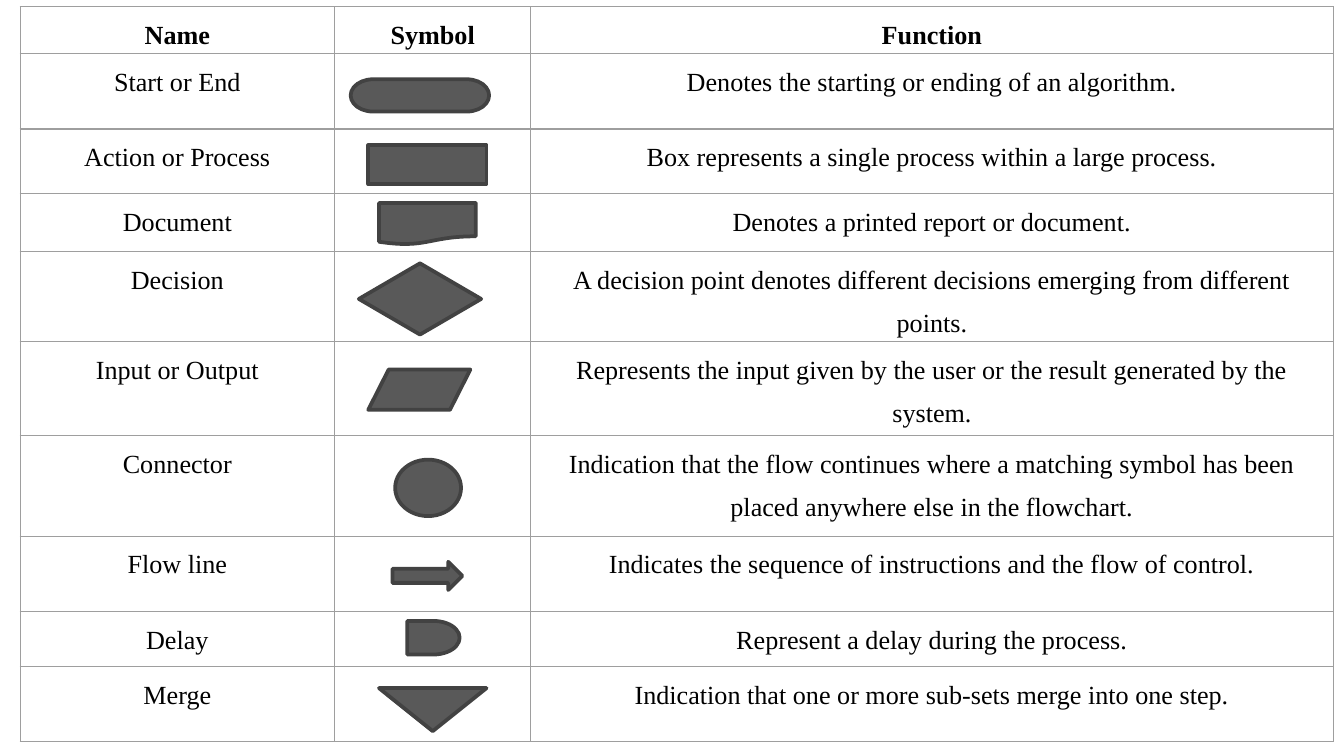
"""Build a slide that lists flowchart symbols with their functions."""
import pptx
import pptx.dml.color
import pptx.enum.shapes
import pptx.enum.text
import pptx.oxml
import pptx.oxml.ns
import pptx.util

Inches = pptx.util.Inches
Pt = pptx.util.Pt
RGBColor = pptx.dml.color.RGBColor
KIND = pptx.enum.shapes.MSO_SHAPE

BLACK = RGBColor(0x00, 0x00, 0x00)
WHITE = RGBColor(0xFF, 0xFF, 0xFF)
GRAY = RGBColor(0x59, 0x59, 0x59)
DARK = RGBColor(0x42, 0x42, 0x42)
RULE = RGBColor(0x9E, 0x9E, 0x9E)

COLS = [2.34, 1.46, 5.97]
HEAD = ("Name", "Symbol", "Function")
HEAD_H = 0.35
ROWS = [
    (0.56, "Start or End", "Denotes the starting or ending of an algorithm.",
     KIND.FLOWCHART_TERMINATOR, (2.61, 0.59, 1.03, 0.24)),
    (0.48, "Action or Process", "Box represents a single process within a large process.",
     KIND.RECTANGLE, (2.74, 1.08, 0.88, 0.29)),
    (0.43, "Document", "Denotes a printed report or document.",
     KIND.FLOWCHART_DOCUMENT, (2.82, 1.51, 0.72, 0.31)),
    (0.67, "Decision",
     "A decision point denotes different decisions emerging from different points.",
     KIND.FLOWCHART_DECISION, (2.67, 1.96, 0.91, 0.53)),
    (0.7, "Input or Output",
     "Represents the input given by the user or the result generated by the system.",
     KIND.FLOWCHART_DATA, (2.74, 2.75, 0.76, 0.3)),
    (0.75, "Connector",
     "Indication that the flow continues where a matching symbol has been "
     "placed anywhere else in the flowchart.",
     KIND.FLOWCHART_CONNECTOR, (2.94, 3.42, 0.49, 0.42)),
    (0.56, "Flow line", "Indicates the sequence of instructions and the flow of control.",
     KIND.RIGHT_ARROW, (2.92, 4.18, 0.52, 0.21)),
    (0.41, "Delay", "Represent a delay during the process.",
     KIND.FLOWCHART_DELAY, (3.03, 4.62, 0.39, 0.25)),
    (0.56, "Merge", "Indication that one or more sub-sets merge into one step.",
     KIND.FLOWCHART_MERGE, (2.82, 5.12, 0.8, 0.32)),
]


def add_rules(cell):
    """Draw a thin line on all four sides of a cell."""
    props = cell._tc.get_or_add_tcPr()
    for side in ("lnL", "lnR", "lnT", "lnB"):
        props.append(pptx.oxml.parse_xml(
            f'<a:{side} {pptx.oxml.ns.nsdecls("a")} w="{Pt(0.75)}">'
            f'<a:solidFill><a:srgbClr val="{RULE}"/></a:solidFill></a:{side}>'))


def fill_cell(cell, text, bold):
    """Set the text and look of one cell."""
    add_rules(cell)
    cell.fill.solid()
    cell.fill.fore_color.rgb = WHITE
    cell.margin_left = cell.margin_right = Inches(0.03)
    cell.margin_top = cell.margin_bottom = 0
    cell.text = text
    para = cell.text_frame.paragraphs[0]
    para.alignment = pptx.enum.text.PP_ALIGN.CENTER
    para.line_spacing = 1.5
    para.font.name = "Times New Roman"
    para.font.size = Pt(14)
    para.font.bold = bold
    para.font.color.rgb = BLACK


def add_grid(slide):
    """Add the table of names and functions."""
    tall = [HEAD_H] + [row[0] for row in ROWS]
    texts = [HEAD] + [(name, "", use) for _, name, use, _, _ in ROWS]
    grid = slide.shapes.add_table(
        len(tall), len(COLS), Inches(0.15), Inches(0.05),
        Inches(sum(COLS)), Inches(sum(tall))).table
    grid.first_row = grid.horz_banding = False
    for col, width in zip(grid.columns, COLS):
        col.width = Inches(width)
    for num, (row, high, line) in enumerate(zip(grid.rows, tall, texts)):
        row.height = Inches(high)
        for cell, text in zip(row.cells, line):
            fill_cell(cell, text, num == 0)


def add_symbol(slide, kind, box):
    """Add one flowchart symbol."""
    shape = slide.shapes.add_shape(kind, *map(Inches, box))
    shape.shadow.inherit = False
    shape.fill.solid()
    shape.fill.fore_color.rgb = GRAY
    shape.line.color.rgb = DARK
    shape.line.width = Pt(2)


def main():
    """Build and save the slide."""
    deck = pptx.Presentation()
    deck.slide_width = Inches(10)
    deck.slide_height = Inches(10) * 9 // 16
    slide = deck.slides.add_slide(deck.slide_layouts[6])
    add_grid(slide)
    for _, _, _, kind, box in ROWS:
        add_symbol(slide, kind, box)
    deck.save("out.pptx")


if __name__ == "__main__":
    main()
